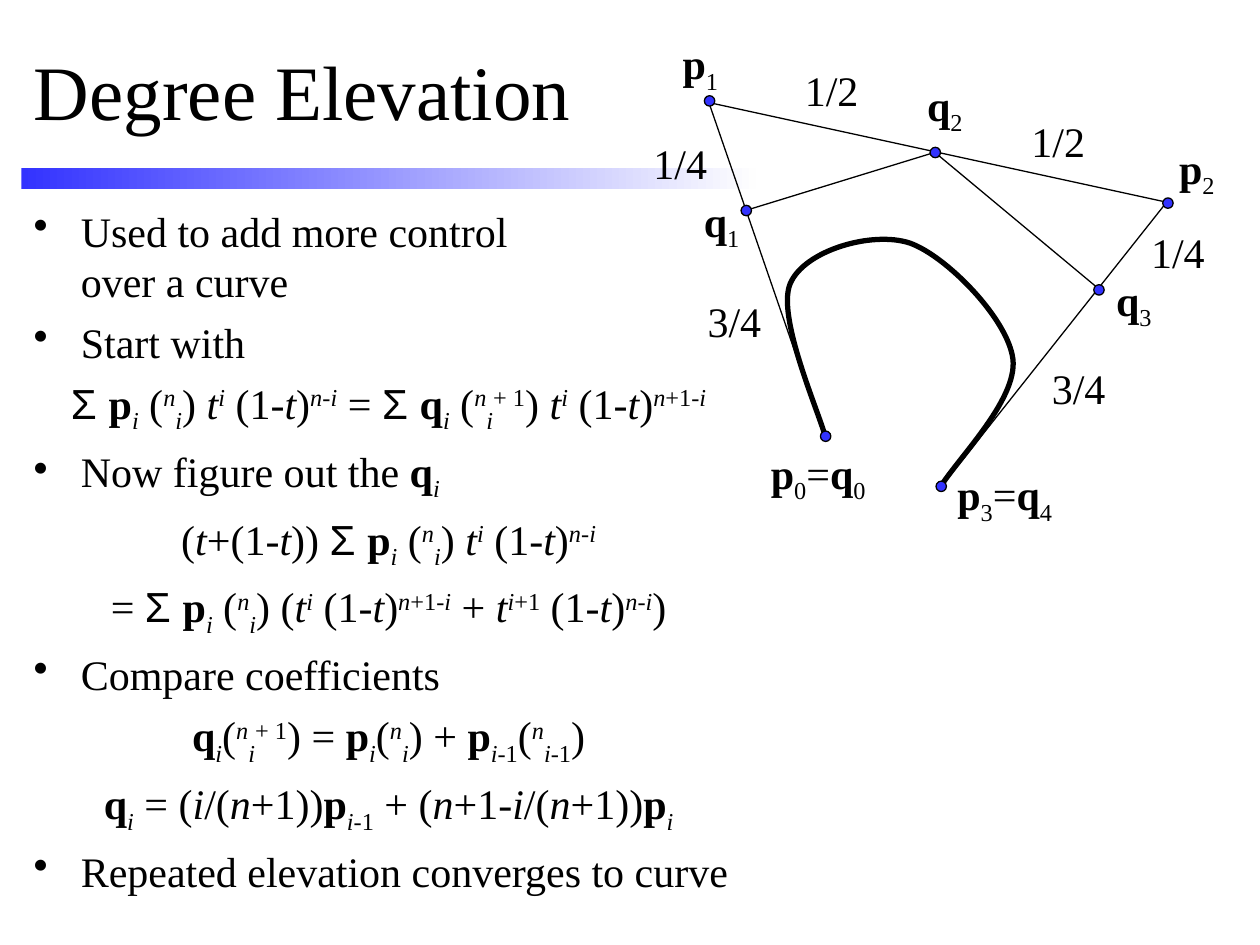
from dataclasses import dataclass

from lxml import etree
from pptx import Presentation
from pptx import util as u
from pptx.dml.color import RGBColor
from pptx.enum import shapes, text
from pptx.oxml.ns import qn


@dataclass(frozen=True)
class Theme:
    """Colours, fonts and type sizes of the slide."""
    ink: str = "000000"
    blue: str = "3333FF"
    pale: str = "FEFEFE"
    face: str = "Times New Roman"
    sans: str = "Arial"
    head: int = 44
    size: int = 24
    thin: float = 0.75
    thick: float = 3


SUM = "a:Σ |"
P, Q = "b:p|iv:i", "b:q|iv:i"
NI, NI1 = "iu:n|iv:i", "iu:n|iv:i|u:+ 1"
TI = "i:t|iu:i"
POW = "r: (1-|i:t|r:)|iu:n|u:-|iu:i"
POW1 = POW.replace("u:-", "u:+1-")

BODY = [
    (True, "r:Used to add more control|n:|r:over a curve"),
    (True, "r:Start with"),
    (False, f"{SUM}{P}|r: (|{NI}|r:) |{TI}|{POW}|r: = |"
            f"{SUM}{Q}|r: (|{NI1}|r:) |{TI}|{POW1}"),
    (True, f"r:Now figure out the |{Q}"),
    (False, f"r:(|i:t|r:+(1-|i:t|r:)) |{SUM}{P}|r: (|{NI}|r:) |{TI}|{POW}"),
    (False, f"r:= |{SUM}{P}|r: (|{NI}|r:) (|{TI}|{POW1}|r: + |"
            f"{TI}|u:+1|{POW}|r:)"),
    (True, "r:Compare coefficients"),
    (False, f"{Q}|r:(|{NI1}|r:) = |{P}|r:(|{NI}|r:) + |"
            f"{P}|v:-1|r:(|{NI}|v:-1|r:)"),
    (False, f"{Q}|r: = (|i:i|r:/(|i:n|r:+1))|{P}|v:-1|r: + (|i:n|r:+1-|"
            f"i:i|r:/(|i:n|r:+1))|{P}"),
    (True, "r:Repeated elevation converges to curve"),
]
LINES = [
    (15.04, 4.24, 18.75, 3.1), (18.82, 3.05, 22.17, 5.84),
    (18.92, 9.88, 23.57, 4.01), (23.44, 4.06, 14.35, 2.08),
    (16.61, 8.79, 14.27, 2.01),
]
CURVE = [
    (16.64, 8.81), (16.51, 8.31), (15.65, 6.38), (15.93, 5.72),
    (16.21, 5.05), (17.58, 4.65), (18.34, 4.9), (19.08, 5.16),
    (20.32, 6.43), (20.42, 7.24), (20.52, 8.08), (19.23, 9.32),
    (18.92, 9.88),
]
DOTS = [
    (18.87, 9.7), (23.44, 3.99), (14.2, 1.93), (16.54, 8.69),
    (14.94, 4.14), (18.75, 2.97), (22.05, 5.74),
]
NAMES = [
    (15.29, 8.89, 2.41, "b:p|v:0|r:=|b:q|v:0"),
    (13.51, 0.64, 1.22, "b:p|v:1"),
    (19.05, 9.32, 2.41, "b:p|v:3|r:=|b:q|v:4"),
    (23.52, 2.74, 1.22, "b:p|v:2"),
    (13.94, 3.81, 1.22, "b:q|v:1"),
    (18.44, 1.47, 1.22, "b:q|v:2"),
    (22.25, 5.4, 1.22, "b:q|v:3"),
]
RATIOS = [
    (13.95, 5.74, "3/4"), (12.86, 2.54, "1/4"), (22.89, 4.34, "1/4"),
    (20.89, 7.09, "3/4"), (20.48, 2.11, "1/2"), (15.91, 1.07, "1/2"),
]


class Deck:
    """Draws each kind of element on the current slide in one style."""

    def __init__(self, theme):
        self.theme = theme
        self.prs = Presentation()
        self.prs.slide_width, self.prs.slide_height = u.Cm(25.4), u.Cm(19.05)
        self.slide = self.prs.slides.add_slide(self.prs.slide_layouts[5])
        self.art = self.slide.shapes

    def rgb(self, name):
        return RGBColor.from_string(getattr(self.theme, name))

    def stroke(self, line, width):
        line.color.rgb = self.rgb("ink")
        line.width = u.Pt(width)

    def runs(self, para, marks, size):
        for mark in marks.split("|"):
            style, words = mark.split(":", 1)
            if style == "n":
                para.add_line_break()
                continue
            run = para.add_run()
            run.text = words
            font = run.font
            font.name = self.theme.sans if "a" in style else self.theme.face
            font.size = u.Pt(size)
            font.bold, font.italic = "b" in style, "i" in style
            font.color.rgb = self.rgb("ink")
            for key, shift in (("u", "30000"), ("v", "-25000")):
                if key in style:
                    run._r.get_or_add_rPr().set("baseline", shift)

    def title(self, words, *box):
        hold = self.art.title
        hold.left, hold.top, hold.width, hold.height = map(u.Cm, box)
        hold.text_frame.vertical_anchor = text.MSO_ANCHOR.MIDDLE
        para = hold.text_frame.paragraphs[0]
        para.alignment = text.PP_ALIGN.LEFT
        self.runs(para, f"r:{words}", self.theme.head)

    def bar(self, *box):
        bar = self.art.add_shape(shapes.MSO_SHAPE.RECTANGLE, *map(u.Cm, box))
        bar.shadow.inherit = False
        bar.line.fill.background()
        bar.fill.gradient()
        bar.fill.gradient_angle = 0
        for stop, name in zip(bar.fill.gradient_stops, ("blue", "pale")):
            stop.color.rgb = self.rgb(name)

    def body(self, items, *box):
        frame = self.art.add_textbox(*map(u.Cm, box)).text_frame
        frame.word_wrap = True
        for num, (dot, marks) in enumerate(items):
            para = frame.add_paragraph() if num else frame.paragraphs[0]
            props = para._p.get_or_add_pPr()
            props.set("marL", str(u.Cm(0.95)))
            props.set("indent", str(-u.Cm(0.95)))
            if dot:
                etree.SubElement(props, qn("a:buChar")).set("char", "•")
            else:
                para.alignment = text.PP_ALIGN.CENTER
            if num:
                para.space_before = u.Pt(6)
            self.runs(para, marks, self.theme.size)

    def label(self, marks, *box, mid=False):
        frame = self.art.add_textbox(*map(u.Cm, box)).text_frame
        frame.word_wrap = False
        frame.auto_size = text.MSO_AUTO_SIZE.SHAPE_TO_FIT_TEXT
        para = frame.paragraphs[0]
        if mid:
            para.alignment = text.PP_ALIGN.CENTER
            para.line_spacing = 1.1
        self.runs(para, marks, self.theme.size)

    def line(self, *ends):
        line = self.art.add_connector(
            shapes.MSO_CONNECTOR.STRAIGHT, *map(u.Cm, ends))
        self.stroke(line.line, self.theme.thin)
        etree.SubElement(line._element.spPr, qn("a:effectLst"))

    def curve(self, knots):
        first, *rest = [(u.Cm(x), u.Cm(y)) for x, y in knots]
        pen = self.art.build_freeform(*first)
        pen.add_line_segments(rest, close=False)
        curve = pen.convert_to_shape()
        curve.shadow.inherit = False
        curve.fill.background()
        self.stroke(curve.line, self.theme.thick)
        track = next(curve._element.iter(qn("a:path")))
        legs = track.findall(qn("a:lnTo"))
        for start in range(0, len(legs), 3):
            bend = etree.SubElement(track, qn("a:cubicBezTo"))
            for leg in legs[start:start + 3]:
                bend.append(leg[0])
                track.remove(leg)

    def dot(self, left, top):
        dot = self.art.add_shape(
            shapes.MSO_SHAPE.OVAL, *map(u.Cm, (left, top, 0.21, 0.21)))
        dot.shadow.inherit = False
        dot.fill.solid()
        dot.fill.fore_color.rgb = self.rgb("blue")
        self.stroke(dot.line, self.theme.thin)


def main():
    deck = Deck(Theme())
    deck.bar(0.43, 3.38, 14.81, 0.43)
    deck.title("Degree Elevation", 0.43, 0.43, 14.81, 2.74)
    deck.body(BODY, 0.43, 4.01, 14.81, 14.6)
    for ends in LINES:
        deck.line(*ends)
    deck.curve(CURVE)
    for spot in DOTS:
        deck.dot(*spot)
    for left, top, width, marks in NAMES:
        deck.label(marks, left, top, width, 1.42)
    for left, top, ratio in RATIOS:
        deck.label(f"r:{ratio}", left, top, 1.71, 1.37, mid=True)
    deck.prs.save("out.pptx")


if __name__ == "__main__":
    main()
